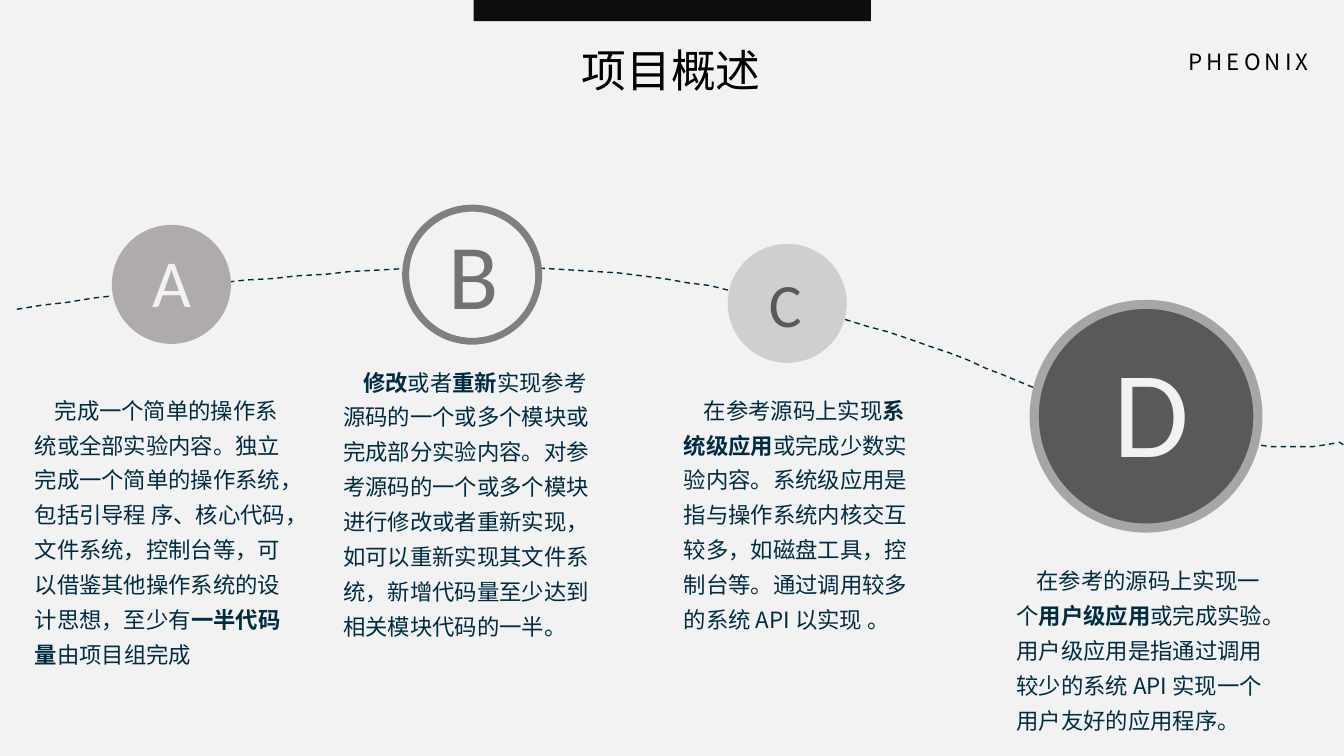
from lxml.etree import SubElement as Sub
from pptx import Presentation
from pptx.dml.color import RGBColor as RGB
from pptx.enum.dml import MSO_LINE as Dash
from pptx.enum.shapes import MSO_SHAPE as Kind
from pptx.enum.text import MSO_ANCHOR as Anchor, MSO_AUTO_SIZE as Fit, PP_ALIGN as Align
from pptx.oxml.ns import qn
from pptx.util import Pt

THEME = {
    "back": "F2F2F2", "black": "000000", "bar": "0D0D0D", "navy": "002C42",
    "ring": "808080", "edge": "A6A6A6", "dark": "595959", "taupe": "767171",
    "warm": "AFABAB", "pale": "D0CECE",
    "head": "Noto Sans CJK JP", "body": "Noto Sans CJK SC", "mark": "Calibri",
    "title": 32, "text": 16,
}


def write(box, text, face, size, tone, **look):
    """Fill a text shape; pieces between asterisks are bold."""
    frame = box.text_frame
    form = {"word_wrap": True, "auto_size": Fit.SHAPE_TO_FIT_TEXT,
            "vertical_anchor": Anchor.TOP, **look}
    for key, val in form.items():
        setattr(frame, key, val)
    par = frame.paragraphs[0]
    par.alignment = Align.LEFT
    for i, part in enumerate(text.split("*")):
        if not part:
            continue
        run = par.add_run()
        run.text = part
        font = run.font
        for key, val in {"name": THEME[face], "size": Pt(size), "bold": i % 2 == 1}.items():
            setattr(font, key, val)
        font.color.rgb = RGB.from_string(THEME[tone])
        Sub(run._r.get_or_add_rPr(), qn("a:ea"), typeface=THEME[face])
    return par


def draw(kind, spot, tone):
    """Add a plain filled shape without a line."""
    shape = shapes.add_shape(kind, *map(Pt, spot))
    shape.shadow.inherit = False
    shape.fill.solid()
    shape.fill.fore_color.rgb = RGB.from_string(THEME[tone])
    shape.line.fill.background()
    return shape


deck = Presentation()
deck.slide_width, deck.slide_height = Pt(960), Pt(540)
slide = deck.slides.add_slide(deck.slide_layouts[5])
shapes = slide.shapes
slide.background.fill.solid()
slide.background.fill.fore_color.rgb = RGB.from_string(THEME["back"])

# Title, top bar and name
title = shapes.title
for key, val in zip(("left", "top", "width", "height"), (408.2, 26.6, 144, 46)):
    setattr(title, key, Pt(val))
write(title, "项目概述", "head", THEME["title"], "black", word_wrap=False)
draw(Kind.RECTANGLE, (338.4, 0, 283.7, 15.1), "bar")
name = shapes.add_textbox(*map(Pt, (834.5, 28.8, 114.5, 31)))
par = write(name, "PHEONIX", "head", THEME["text"], "black",
            auto_size=Fit.NONE, vertical_anchor=Anchor.MIDDLE)
par.alignment = Align.CENTER
par.runs[0]._r.rPr.set("spc", "300")

# Dashed curve: three Bezier arcs in sequence
knots = [(12.2, 221), (152.6, 200.2), (314.6, 182.9), (442.1, 195.1), (570.2, 207.4),
         (713, 262.1), (780.5, 295.9), (853.9, 319), (938.9, 325.4), (972, 312.5)]
steps = 24
dots = []
for k in range(0, 9, 3):
    for n in range(1, steps + 1):
        t = n / steps
        mix = ((1 - t) ** 3, 3 * t * (1 - t) ** 2, 3 * t * t * (1 - t), t ** 3)
        dots.append(tuple(sum(m * p[a] for m, p in zip(mix, knots[k:k + 4])) for a in (0, 1)))
# The last arc runs past the slide, so it stops at the right edge
dots = [dot for dot in dots if dot[0] <= 960] + [(960, 317.7)]
path = shapes.build_freeform(*knots[0], scale=Pt(1))
path.add_line_segments(dots, close=False)
curve = path.convert_to_shape()
curve.shadow.inherit = False
curve.fill.background()
curve.line.color.rgb = RGB.from_string(THEME["navy"])
for key, val in {"width": Pt(1), "dash_style": Dash.DASH}.items():
    setattr(curve.line, key, val)

# Circles
ring = draw(Kind.DONUT, (287.3, 146.2, 100, 100), "ring")
ring.adjustments[0] = 0.05
for x, y, size, tone in [(79.9, 160.6, 85, "warm"), (293, 151.9, 89.3, "back"),
                         (519.8, 174.2, 85, "pale"), (738.7, 217.4, 159.8, "dark")]:
    disc = draw(Kind.OVAL, (x, y, size, size), tone)
disc.line.color.rgb = RGB.from_string(THEME["edge"])
disc.line.width = Pt(6.5)

# Letters
for mark, size, tone, spot in [
    ("A", 48, "back", (101.5, 167.8, 70.6, 65.5)),
    ("B", 66, "taupe", (313.2, 151.2, 123.8, 87.1)),
    ("C", 44, "dark", (542.2, 186.5, 112.3, 60.5)),
    ("D", 88, "back", (788.4, 235.4, 70.6, 113.8)),
]:
    write(shapes.add_textbox(*map(Pt, spot)), mark, "mark", size, tone)

# Descriptions
notes = [
    ((19.4, 275, 195.1, 203.8),
     "完成一个简单的操作系统或全部实验内容。独立完成一个简单的操作系统，包括引导程 序、核心代码，"
     "文件系统，控制台等，可以借鉴其他操作系统的设计思想，至少有*一半代码量*由项目组完成"),
    ((239.8, 254.9, 200.2, 203.8),
     "*修改*或者*重新*实现参考源码的一个或多个模块或完成部分实验内容。对参考源码的一个或多个模块"
     "进行修改或者重新实现，如可以重新实现其文件系统，新增代码量至少达到相关模块代码的一半。"),
    ((483.1, 275, 170.6, 203.8),
     "在参考源码上实现*系统级应用*或完成少数实验内容。系统级应用是指与操作系统内核交互较多，"
     "如磁盘工具，控制台等。通过调用较多的系统 API 以实现 。"),
    ((720.7, 396.7, 195.1, 128.2),
     "在参考的源码上实现一个*用户级应用*或完成实验。用户级应用是指通过调用较少的系统 API "
     "实现一个用户友好的应用程序。"),
]
pad = {"margin_left": Pt(5.4), "margin_right": Pt(5.4),
       "margin_top": Pt(2.7), "margin_bottom": Pt(2.7)}
for spot, text in notes:
    par = write(shapes.add_textbox(*map(Pt, spot)), text, "body", THEME["text"], "navy", **pad)
    par.line_spacing = 1.3
    par._p.get_or_add_pPr().set("indent", str(Pt(14.3)))

deck.save("out.pptx")
